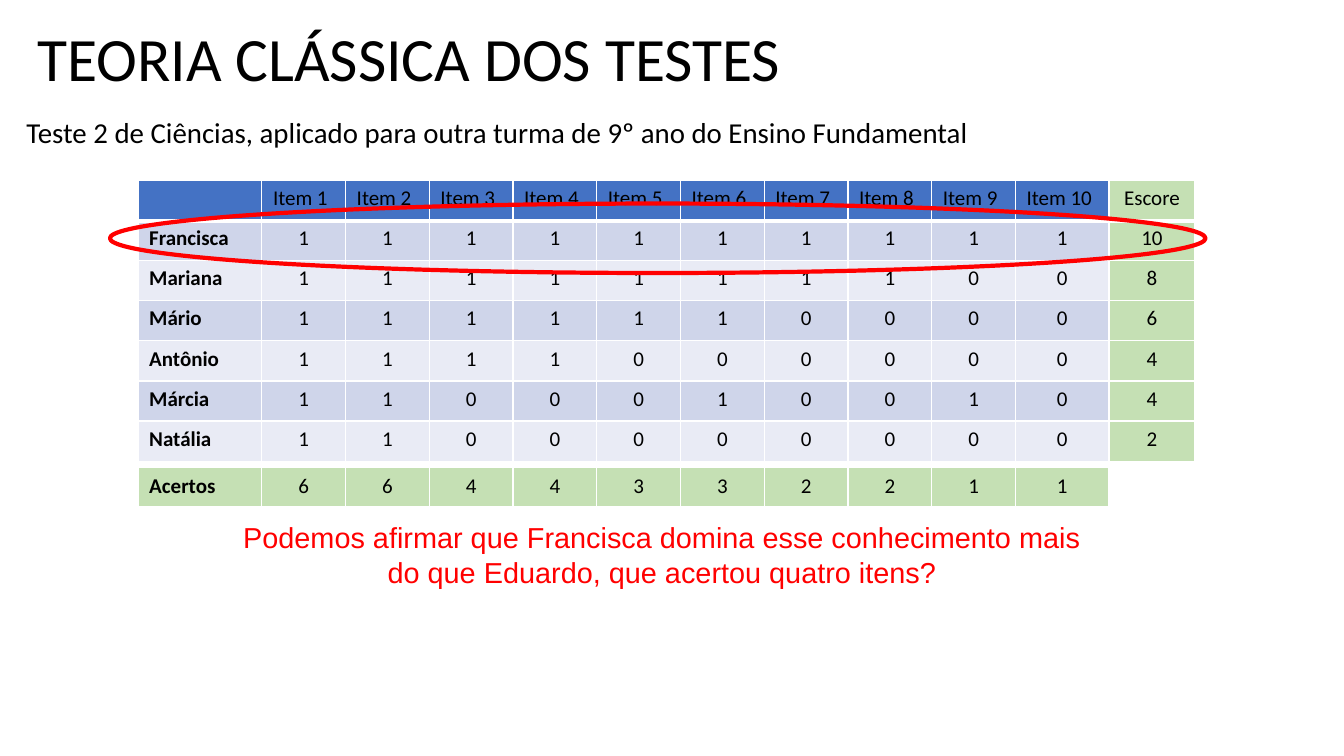
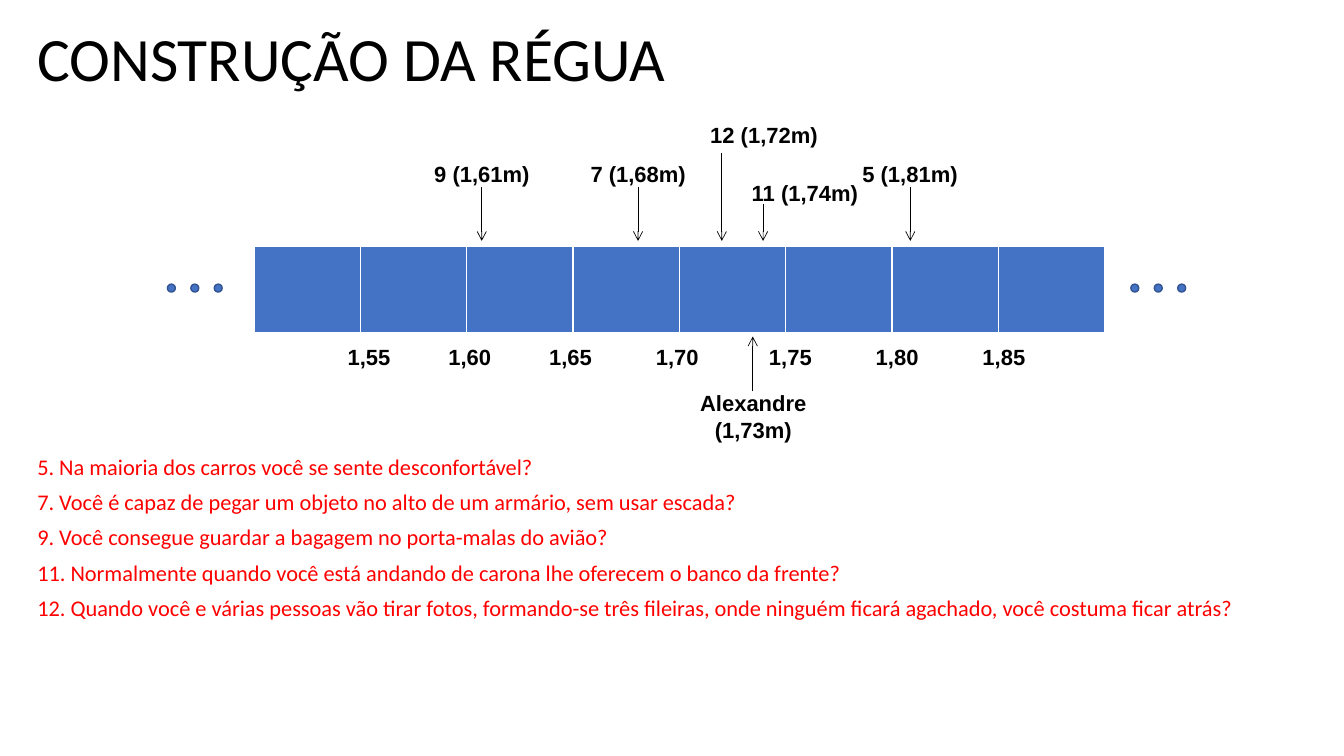
import pptx
import pptx.util
import pptx.dml.color
import pptx.enum.shapes
import pptx.enum.text
import pptx.oxml.ns
import lxml.etree

Cm = pptx.util.Cm
Pt = pptx.util.Pt
RGB = pptx.dml.color.RGBColor.from_string
ALIGN = pptx.enum.text.PP_ALIGN
ANCHOR = pptx.enum.text.MSO_ANCHOR
OVAL = pptx.enum.shapes.MSO_SHAPE.OVAL
STRAIGHT = pptx.enum.shapes.MSO_CONNECTOR.STRAIGHT
qn = pptx.oxml.ns.qn
sub = lxml.etree.SubElement

COLORS = {
    "text": "000000",
    "accent": "FF0000",
    "blue": "4472C4",
    "blue_edge": "325491",
    "band_dark": "CFD5EA",
    "band_light": "E9EBF5",
    "green": "C5E0B4",
    "border": "FFFFFF",
}
LABEL = {"size": 15.7, "font": "Arial", "bold": True}


def write(s, box, lines, size, font="Calibri", color="text", bold=False,
          align=ALIGN.LEFT, before=0, spacing=None, wrap=True, anchor=ANCHOR.TOP):
    tf = s.shapes.add_textbox(*[Cm(v) for v in box]).text_frame
    tf.word_wrap = wrap
    tf.vertical_anchor = anchor
    for i, line in enumerate(lines):
        p = tf.add_paragraph() if i else tf.paragraphs[0]
        p.alignment = align
        if i and before:
            p.space_before = Pt(before)
        if spacing:
            p.line_spacing = spacing
        r = p.add_run()
        r.text = line
        r.font.size = Pt(size)
        r.font.name = font
        r.font.bold = bold
        r.font.color.rgb = RGB(COLORS[color])
    return tf


def add_grid(s, x, y, widths, height, rows, fills, named=False):
    frame = s.shapes.add_table(len(rows), len(widths), Cm(x), Cm(y),
                               Cm(sum(widths)), Cm(height * len(rows)))
    table = frame.table
    for column, width in zip(table.columns, widths):
        column.width = Cm(width)
    for i, values in enumerate(rows):
        table.rows[i].height = Cm(height)
        for j, value in enumerate(values):
            cell = table.cell(i, j)
            cell.margin_left = cell.margin_right = Cm(0.28)
            cell.margin_top = cell.margin_bottom = Cm(0.13 if value else 0)
            tc_pr = cell._tc.get_or_add_tcPr()
            for side in ("lnL", "lnR", "lnT", "lnB"):
                width = Pt(3 if side == "lnB" and i == 0 else 1)
                ln = sub(tc_pr, qn("a:" + side), w=str(width))
                solid = sub(ln, qn("a:solidFill"))
                sub(solid, qn("a:srgbClr"), val=COLORS["border"])
            cell.fill.solid()
            cell.fill.fore_color.rgb = RGB(COLORS[fills[i]])
            if value:
                p = cell.text_frame.paragraphs[0]
                left = named and j == 0 or value.startswith("Item")
                p.alignment = ALIGN.LEFT if left else ALIGN.CENTER
                r = p.add_run()
                r.text = value
                r.font.size = Pt(15)
                r.font.name = "Calibri"
                r.font.bold = named and j == 0
                r.font.color.rgb = RGB(COLORS["text"])


prs = pptx.Presentation()
prs.slide_width = Cm(33.87)
prs.slide_height = Cm(19.05)

slides = []
for title in ("TEORIA CLÁSSICA DOS TESTES", "CONSTRUÇÃO DA RÉGUA"):
    s = prs.slides.add_slide(prs.slide_layouts[6])
    write(s, (0.69, 0.56, 32.5, 2), [title], 44, spacing=0.9, anchor=ANCHOR.MIDDLE)
    slides.append(s)
test_slide, ruler_slide = slides

s = test_slide
write(s, (5.82, 12.98, 21.74, 1.96),
      ["Podemos afirmar que Francisca domina esse conhecimento mais "
       "do que Eduardo, que acertou quatro itens?"],
      20.6, font="Arial", color="accent", align=ALIGN.CENTER)

students = [
    ("Francisca", "1111111111", "10"),
    ("Mariana", "1111111100", "8"),
    ("Mário", "1111110000", "6"),
    ("Antônio", "1111000000", "4"),
    ("Márcia", "1100010010", "4"),
    ("Natália", "1100000000", "2"),
]
table_x, table_y, row_h = 3.48, 4.55, 1.01
widths = [3.12] + [2.11] * 9 + [2.36]
answers = [[""] + [f"Item {n}" for n in range(1, 11)]]
answers += [[name, *marks] for name, marks, score in students]
scores = [["Escore"]] + [[score] for name, marks, score in students]
bands = ["blue"] + ["band_dark", "band_light"] * 3
add_grid(s, table_x, table_y, widths, row_h, answers, bands, named=True)
add_grid(s, table_x + sum(widths), table_y, [2.16], row_h, scores, ["green"] * 7)
add_grid(s, table_x, 11.79, widths, row_h, [["Acertos", *"6644332211"]], ["green"], named=True)

write(s, (0, 2.87, 25.07, 1.37),
      ["Teste 2 de Ciências, aplicado para outra turma de 9º ano do Ensino Fundamental"],
      20.6, align=ALIGN.CENTER, spacing=0.9)

ring = s.shapes.add_shape(OVAL, Cm(2.77), Cm(5.13), Cm(27.61), Cm(1.75))
ring.shadow.inherit = False
ring.fill.background()
ring.line.color.rgb = RGB(COLORS["accent"])
ring.line.width = Pt(3)

s = ruler_slide
add_grid(s, 6.4, 6.2, [2.68] * 8, 2.21, [[""] * 8], ["blue"])

for start in (4.22, 28.5):
    for n in range(3):
        dot = s.shapes.add_shape(OVAL, Cm(start + n * 0.59), Cm(7.16), Cm(0.2), Cm(0.2))
        dot.shadow.inherit = False
        dot.fill.solid()
        dot.fill.fore_color.rgb = RGB(COLORS["blue"])
        dot.line.color.rgb = RGB(COLORS["blue_edge"])
        dot.line.width = Pt(1)

tf = write(s, (8.51, 8.53, 18, 0.91),
           ["1,55\t1,60\t1,65\t1,70\t1,75\t1,80\t1,85"], **LABEL)
tabs = sub(tf.paragraphs[0]._p.get_or_add_pPr(), qn("a:tabLst"))
for stop in (2.54, 5.08, 7.77, 10.62, 13.31, 16):
    sub(tabs, qn("a:tab"), pos=str(Cm(stop)), algn="l")

markers = [
    (["Alexandre", "(1,73m)"], (17.37, 9.7, 3.23, 1.6), 18.97, 9.86, 8.48),
    (["11 (1,74m)"], (18.67, 4.39, 3.23, 0.91), 19.23, 5.13, 6.07),
    (["7 (1,68m)"], (14.61, 3.91, 2.95, 0.91), 16.08, 4.7, 6.07),
    (["9 (1,61m)"], (10.67, 3.91, 2.95, 0.91), 12.14, 4.7, 6.07),
    (["12 (1,72m)"], (17.63, 2.95, 3.25, 0.91), 18.19, 3.86, 6.07),
    (["5 (1,81m)"], (21.46, 3.91, 2.95, 0.91), 22.94, 4.7, 6.07),
]
for lines, box, x, y_from, y_to in markers:
    write(s, box, lines, align=ALIGN.CENTER, wrap=False, **LABEL)
    arrow = s.shapes.add_connector(STRAIGHT, Cm(x), Cm(y_from), Cm(x), Cm(y_to))
    arrow.line.color.rgb = RGB(COLORS["text"])
    arrow.line.width = Pt(0.5)
    sub(arrow.line._get_or_add_ln(), qn("a:tailEnd"), type="arrow")
    sub(arrow._element.spPr, qn("a:effectLst"))

questions = [
    "5. Na maioria dos carros você se sente desconfortável?",
    "7. Você é capaz de pegar um objeto no alto de um armário, sem usar escada?",
    "9. Você consegue guardar a bagagem no porta-malas do avião?",
    "11. Normalmente quando você está andando de carona lhe oferecem o banco da frente?",
    "12. Quando você e várias pessoas vão tirar fotos, formando-se três fileiras, "
    "onde ninguém ficará agachado, você costuma ficar atrás?",
]
write(s, (0.69, 11.3, 31.57, 4.6), questions, 16, color="accent",
      align=ALIGN.JUSTIFY, before=5.9)

prs.save("out.pptx")
